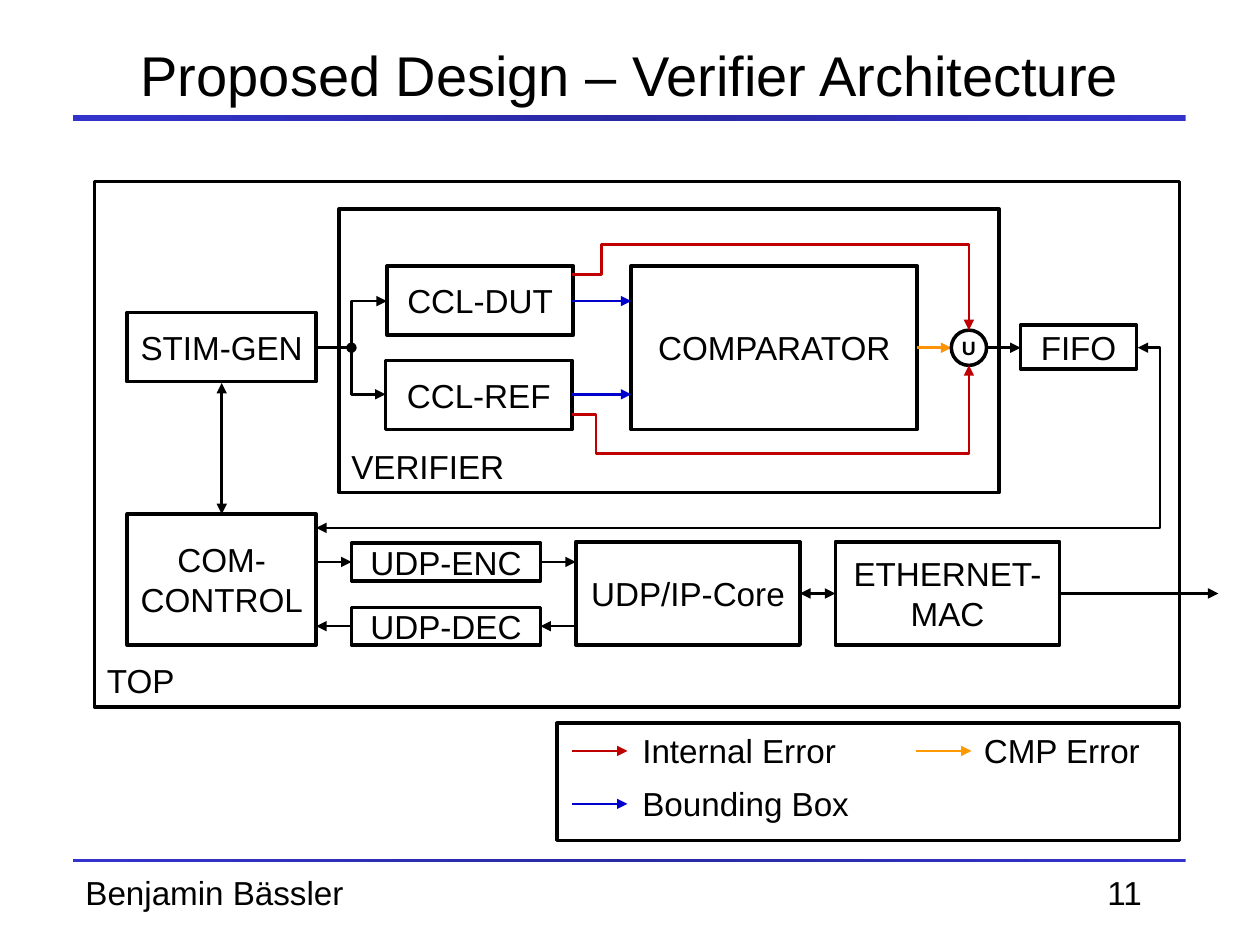
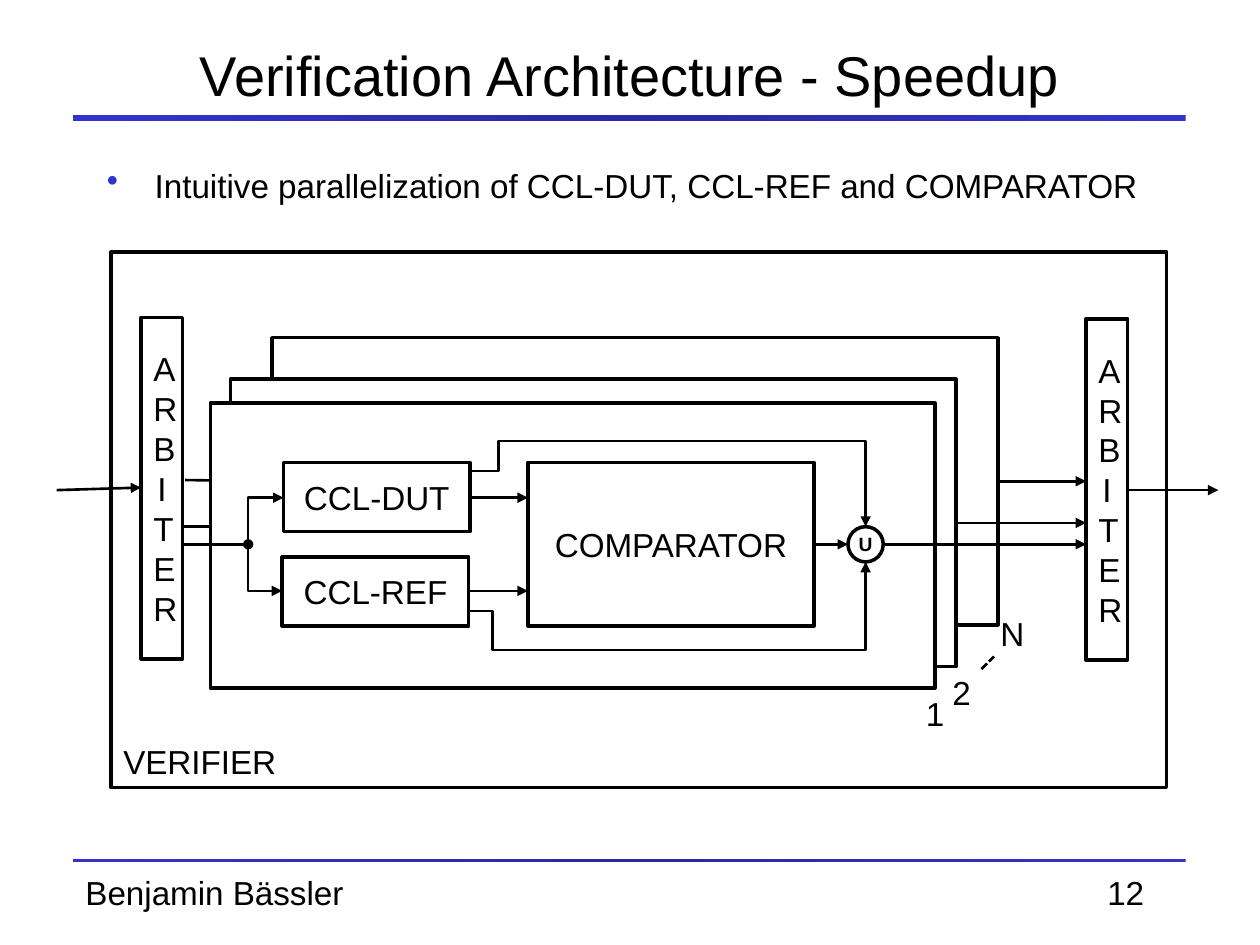
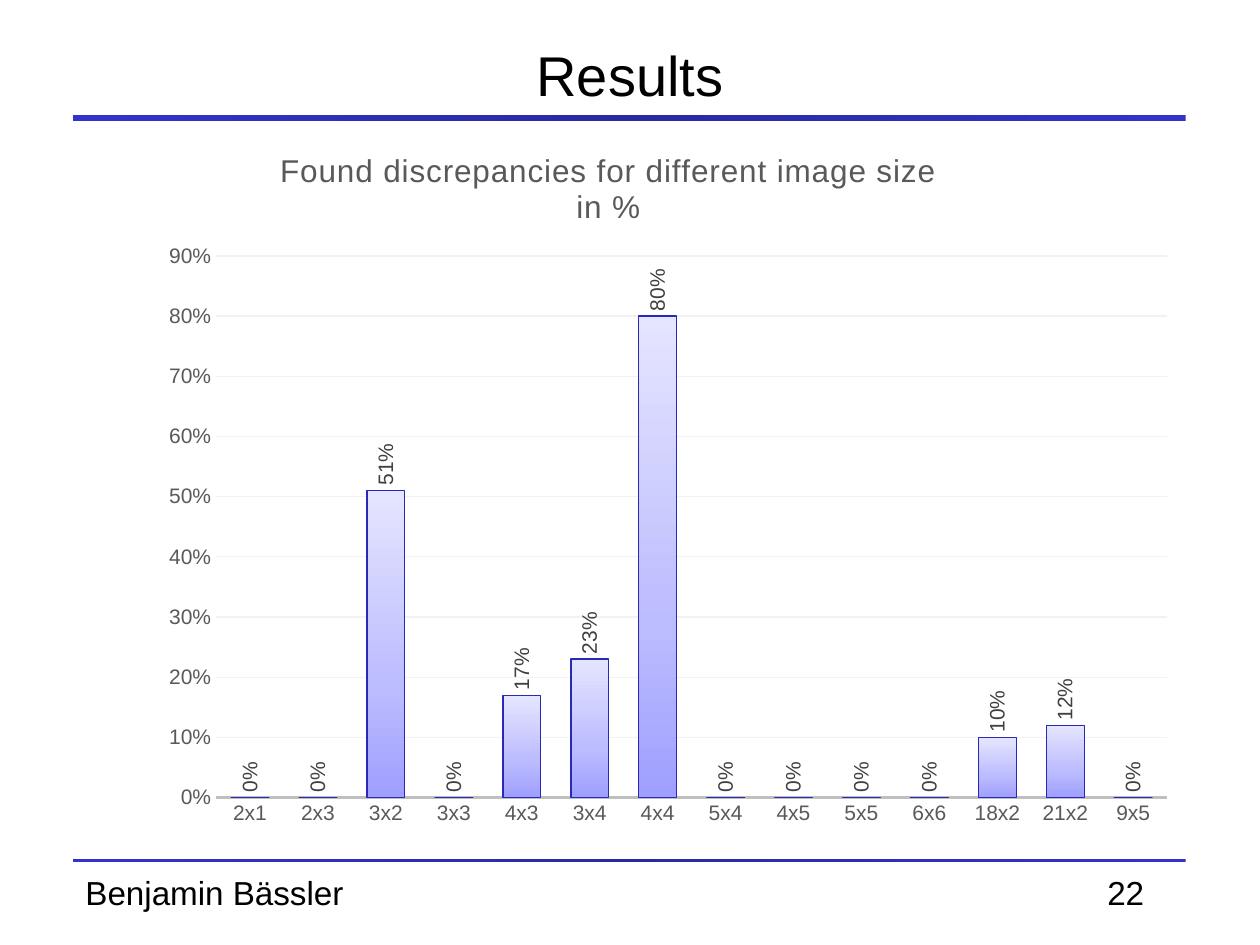
from dataclasses import dataclass
from pptx import Presentation
from pptx.chart.data import CategoryChartData
from pptx.dml.color import RGBColor
from pptx.enum.chart import XL_CHART_TYPE as ChartType, XL_LABEL_POSITION as LabelPos
from pptx.enum.chart import XL_TICK_MARK as TickMark
from pptx.enum.dml import MSO_LINE as Dash
from pptx.enum.shapes import MSO_CONNECTOR as Connector, MSO_SHAPE as Preset
from pptx.enum.text import MSO_ANCHOR as Anchor, PP_ALIGN as Align
from pptx.oxml import parse_xml
from pptx.oxml.ns import nsdecls, qn
from pptx.oxml.xmlchemy import OxmlElement
from pptx.util import Inches, Pt


@dataclass(frozen=True)
class Theme:
    font: str = "Arial"
    ink: str = "000000"
    paper: str = "FFFFFF"
    accent: str = "3333CC"
    error: str = "C00000"
    bounds: str = "0000CC"
    compare: str = "FC9204"
    compare_key: str = "FF9900"
    band: tuple = ((0, "3333CC"), (50, "2929A3"), (100, "3333CC"))
    bars: tuple = ((0, "9F9FFF"), (35, "BBBBFF"), (100, "E5E5FF"))
    bar_line: str = "2929B8"
    chart_ink: str = "595959"
    label_ink: str = "404040"
    axis: str = "BFBFBF"
    grid: str = "F2F2F2"
    title: float = 32
    chart_title: float = 18
    body: float = 19
    axis_text: float = 12
    small: float = 11
    box_line: float = 2
    wire: float = 1.5


theme = Theme()


# ---- Formatting helpers ----
def rgb(value):
    return RGBColor.from_string(value)


def format_font(font, size, color=theme.ink, bold=False):
    font.name, font.size, font.bold = theme.font, Pt(size), bold
    font.color.rgb = rgb(color)


def format_line(line, color=theme.ink, width=theme.box_line):
    line.color.rgb = rgb(color)
    line.width = Pt(width)


def write(frame, text, size=theme.body, align=Align.LEFT, anchor=Anchor.TOP, bold=False, inset=None):
    frame.word_wrap = True
    frame.vertical_anchor = anchor
    if inset is not None:
        frame.margin_left = frame.margin_right = Inches(inset)
        frame.margin_top = frame.margin_bottom = Inches(inset)
    para = frame.paragraphs[0]
    para.alignment = align
    span = para.add_run()
    span.text = text
    format_font(span.font, size, bold=bold)
    return para


def set_gradient(fill, element, stops, angle):
    """Swap the solid fill of the element for a gradient."""
    fill.solid()
    solid = element.find(".//" + qn("a:solidFill"))
    marks = "".join(f'<a:gs pos="{pos * 1000}"><a:srgbClr val="{color}"/></a:gs>' for pos, color in stops)
    solid.getparent().replace(solid, parse_xml(
        f'<a:gradFill {nsdecls("a")} rotWithShape="1"><a:gsLst>{marks}</a:gsLst>'
        f'<a:lin ang="{angle * 60000}" scaled="0"/></a:gradFill>'))


# ---- A region of a page: all parts are placed relative to its corner ----
@dataclass
class Region:
    page: object
    left: float = 0
    top: float = 0

    def place(self, x, y):
        return Inches(self.left + x), Inches(self.top + y)

    def box(self, x, y, width, height, text="", filled=True, preset=Preset.RECTANGLE, **style):
        shape = self.page.shapes.add_shape(preset, *self.place(x, y), Inches(width), Inches(height))
        shape.shadow.inherit = False
        if filled:
            shape.fill.solid()
            shape.fill.fore_color.rgb = rgb(theme.paper)
        else:
            shape.fill.background()
        format_line(shape.line)
        if text:
            write(shape.text_frame, text, **{"align": Align.CENTER, "anchor": Anchor.MIDDLE, **style})
        return shape

    def frame(self, x, y, width, height, text=""):
        """Open box with its name at the lower left."""
        return self.box(x, y, width, height, text, filled=False, align=Align.LEFT, anchor=Anchor.BOTTOM)

    def label(self, x, y, width, text, height=0.42, **style):
        shape = self.page.shapes.add_textbox(*self.place(x, y), Inches(width), Inches(height))
        write(shape.text_frame, text, **style)
        return shape

    def wire(self, start, end, color=theme.ink, head=None, tail="triangle", bend=None, turn=None, dash=None):
        """Line; bend 2 is one corner (across, then up or down), bend 3 has two, at the share turn."""
        kind = Connector.ELBOW if bend else Connector.STRAIGHT
        line = self.page.shapes.add_connector(kind, *self.place(*start), *self.place(*end))
        format_line(line.line, color, theme.wire)
        if dash:
            line.line.dash_style = dash
        props = line.element.spPr
        if bend:
            geometry = props.find(qn("a:prstGeom"))
            geometry.set("prst", f"bentConnector{bend}")
            if turn is not None:
                guide = OxmlElement("a:gd")
                guide.set("name", "adj1")
                guide.set("fmla", f"val {round(turn * 100000)}")
                geometry.find(qn("a:avLst")).append(guide)
        for tag, kind in (("a:headEnd", head), ("a:tailEnd", tail)):
            if kind:
                tip = OxmlElement(tag)
                tip.set("type", kind)
                props.find(qn("a:ln")).append(tip)
        props.append(OxmlElement("a:effectLst"))


# ---- What the slides share ----
def build_layout(deck):
    """Put the bands and the author on the title-only layout."""
    layout = deck.slide_layouts[5]
    page = deck.slides.add_slide(layout)
    region = Region(page, 0.58, 0.91)
    parts = [region.box(0, y, 8.83, height) for y, height in ((0, 0.05), (5.91, 0.02))]
    for band in parts:
        set_gradient(band.fill, band.element, theme.band, 0)
        band.line.fill.background()
    parts.append(region.label(0, 5.96, 2.77, "Benjamin Bässler"))
    for part in parts:
        layout.shapes.element.append(part.element)
    return page


def dress_page(page, title, number):
    holder = page.shapes.title
    holder.left, holder.top, holder.width, holder.height = map(Inches, (0.75, 0.13, 8.5, 0.92))
    write(holder.text_frame, title, size=theme.title, align=Align.CENTER, anchor=Anchor.MIDDLE)
    Region(page).label(8.69, 6.87, 0.73, str(number))


# ---- Regions ----
def draw_checker(region, entry, leave, error=theme.ink, bounds=theme.ink, compare=theme.ink):
    """Both units, the comparator and the union; entry and leave are the outer wire ends."""
    middle, dut_y, ref_y = 0.65, 0.28, 1.02
    fork, gate = (-0.27, middle), 4.63
    region.box(1.95, 0, 2.27, 1.3, "COMPARATOR")
    region.box(0.01, 0, 1.48, 0.55, "CCL-DUT")
    region.box(0, 0.75, 1.48, 0.55, "CCL-REF")
    # Input and fork
    region.wire((entry, middle), fork, tail=None)
    region.wire((0.01, dut_y), fork, head="triangle", tail=None, bend=2)
    region.wire((0, ref_y), fork, head="triangle", tail="oval", bend=2)
    # Bounding boxes and comparison
    for y in (dut_y, ref_y):
        region.wire((1.48, y), (1.95, y), bounds)
    region.wire((4.22, middle), (4.49, middle), compare)
    region.box(4.49, 0.51, 0.28, 0.28, "U", preset=Preset.OVAL, size=theme.small, bold=True, inset=0)
    # Error paths around the comparator
    for y, bend_x, rail, end in ((0.07, 1.95, -0.17, 0.51), (1.18, 1.86, 1.49, 0.79)):
        region.wire((1.48, y), (bend_x, rail), error, tail=None, bend=3)
        region.wire((bend_x, rail), (gate, end), error, bend=2)
    region.wire((4.77, middle), (leave, middle))


def draw_network(region):
    """Control, UDP coders, core and MAC in a row."""
    region.box(0, 0, 1.5, 1.04, "COM-CONTROL")
    for y, text, ends in ((0.38, "UDP-ENC", {}), (0.89, "UDP-DEC", {"head": "triangle", "tail": None})):
        region.box(1.78, y - 0.15, 1.5, 0.3, text)
        for x in (1.5, 3.28):
            region.wire((x, y), (x + 0.28, y), **ends)
    region.box(3.56, 0.22, 1.78, 0.82, "UDP/IP-Core")
    region.box(5.62, 0.22, 1.78, 0.82, "ETHERNET-MAC")
    region.wire((5.34, 0.63), (5.62, 0.63), head="triangle")
    region.wire((7.4, 0.63), (8.66, 0.63))


def draw_legend(region):
    region.box(0, 0, 4.94, 0.93)
    for x, y, text_x, width, color, text in (
            (0.12, 0.22, 0.58, 2.14, theme.error, "Internal Error"),
            (0.12, 0.64, 0.58, 2, theme.bounds, "Bounding Box"),
            (2.85, 0.22, 3.29, 1.57, theme.compare_key, "CMP Error")):
        region.wire((x, y), (x + 0.44, y), color)
        region.label(text_x, y - 0.21, width, text)


def draw_bullet(region, text):
    para = region.label(0, 0, 8.5, text, height=0.51).text_frame.paragraphs[0]
    para.space_before = Pt(4)
    props = para._p.get_or_add_pPr()
    props.set("marL", str(Inches(0.38)))
    props.set("indent", str(-Inches(0.38)))
    props.append(parse_xml(f'<a:buClr {nsdecls("a")}><a:srgbClr val="{theme.accent}"/></a:buClr>'))
    props.append(parse_xml(f'<a:buChar {nsdecls("a")} char="•"/>'))


def set_layout(element, index, **values):
    """Give a chart part a fixed place, as shares of the chart."""
    for old in element.findall(qn("c:layout")):
        element.remove(old)
    rows = "".join(f'<c:{name} val="{value}"/>' for name, value in values.items())
    element.insert(index, parse_xml(
        f'<c:layout {nsdecls("c")}><c:manualLayout>{rows}</c:manualLayout></c:layout>'))


def draw_chart(region, width, height, title, shares):
    data = CategoryChartData(number_format="0%")
    data.categories = list(shares)
    data.add_series("Series 1", shares.values())
    chart = region.page.shapes.add_chart(
        ChartType.COLUMN_CLUSTERED, *region.place(0, 0), Inches(width), Inches(height), data).chart
    chart.has_legend = False
    format_font(chart.font, 10)
    # Title
    chart.has_title = True
    frame = chart.chart_title.text_frame
    frame.text = title
    for para in frame.paragraphs:
        for span in para.runs:
            format_font(span.font, theme.chart_title, theme.chart_ink)
            span.font._element.set("spc", "50")
    set_layout(chart.chart_title.element, 1, xMode="edge", yMode="edge", x=0.18, y=0.02)
    # Axes
    for axis in (chart.category_axis, chart.value_axis):
        axis.major_tick_mark = axis.minor_tick_mark = TickMark.NONE
        format_font(axis.tick_labels.font, theme.axis_text, theme.chart_ink)
    format_line(chart.category_axis.format.line, theme.axis, 1.25)
    scale = chart.value_axis
    scale.minimum_scale, scale.maximum_scale, scale.major_unit = 0, 0.9, 0.1
    scale.tick_labels.number_format, scale.tick_labels.number_format_is_linked = "0%", False
    scale.format.line.fill.background()
    format_line(scale.major_gridlines.format.line, theme.grid, 0.75)
    # Columns
    plot = chart.plots[0]
    plot.gap_width, plot.vary_by_categories = 80, False
    series = plot.series[0]
    series.invert_if_negative = False
    set_gradient(series.format.fill, series._element, theme.bars, 270)
    format_line(series.format.line, theme.bar_line, 0.75)
    labels = series.data_labels
    labels.show_value, labels.position = True, LabelPos.OUTSIDE_END
    labels.number_format, labels.number_format_is_linked = "0%", False
    format_font(labels.font, theme.axis_text, theme.label_ink)
    turned = labels._element.find(".//" + qn("a:bodyPr"))
    turned.set("rot", "-5400000")
    turned.set("vert", "horz")
    set_layout(chart._chartSpace.find(".//" + qn("c:plotArea")), 0, layoutTarget="inner",
               xMode="edge", yMode="edge", x=0.126, y=0.172, w=0.853, h=0.761)


# ---- Slides ----
def build_architecture(page):
    dress_page(page, "Proposed Design – Verifier Architecture", 11)
    region = Region(page, 0.75, 1.44)
    region.box(0.26, 1.04, 1.5, 0.55, "STIM-GEN")
    region.box(7.35, 1.14, 0.92, 0.35, "FIFO")
    draw_checker(Region(page, 3.06, 2.11), -0.55, 5.04, theme.error, theme.bounds, theme.compare)
    region.frame(1.94, 0.22, 5.24, 2.25, "VERIFIER")
    region.wire((1.01, 1.6), (1.01, 2.64), head="triangle")
    region.wire((8.28, 1.32), (1.76, 2.75), head="triangle", bend=3, turn=-0.027)
    draw_network(Region(page, 1.01, 4.08))
    region.frame(0, 0, 8.61, 4.17, "TOP")
    draw_legend(Region(page, 4.42, 5.74))


def build_speedup(page):
    dress_page(page, "Verification Architecture - Speedup", 12)
    draw_bullet(Region(page, 0.75, 1.26), "Intuitive parallelization of CCL-DUT, CCL-REF and COMPARATOR")
    region = Region(page, 0.88, 2)
    # Lanes behind the first one
    region.wire((1.29, 1.82), (0.59, 1.81), tail=None)
    region.frame(1.28, 0.68, 5.76, 2.28)
    region.box(0.95, 1.01, 5.76, 2.28)
    region.wire((0.94, 2.18), (0.57, 2.18), tail=None)
    # Verifier with an arbiter at each side
    region.frame(0, 0, 8.38, 4.25, "VERIFIER")
    for x, y in ((0.24, 0.52), (7.74, 0.53)):
        region.box(x, y, 0.33, 2.71, "ARBITER")
    region.wire((8.08, 1.89), (8.79, 1.89))
    region.wire((-0.43, 1.89), (0.24, 1.87))
    # First lane
    region.box(0.79, 1.2, 5.75, 2.26)
    draw_checker(Region(page, 2.24, 3.67), -0.78, 6.38)
    # Lane numbers and outputs
    for x, y, text in ((6.37, 3.45, "1"), (6.58, 3.29, "2"), (6.96, 2.82, "N")):
        region.label(x, y, 0.32, text)
    region.wire((6.91, 3.31), (7.01, 3.21), tail=None, dash=Dash.SQUARE_DOT)
    for x, y in ((6.71, 2.15), (7.04, 1.82)):
        region.wire((x, y), (7.74, y))


def build_results(page):
    dress_page(page, "Results", 22)
    shares = {"2x1": 0, "2x3": 0, "3x2": 0.51, "3x3": 0, "4x3": 0.17, "3x4": 0.23, "4x4": 0.8,
              "5x4": 0, "4x5": 0, "5x5": 0, "6x6": 0, "18x2": 0.1, "21x2": 0.12, "9x5": 0}
    draw_chart(Region(page, 0.6, 1.06), 8.85, 5.65,
               "Found discrepancies for different image size\nin %", shares)


deck = Presentation()
deck.slide_width, deck.slide_height = Inches(10), Inches(7.5)
first = build_layout(deck)
build_architecture(first)
for build in (build_speedup, build_results):
    build(deck.slides.add_slide(deck.slide_layouts[5]))
deck.save("out.pptx")
